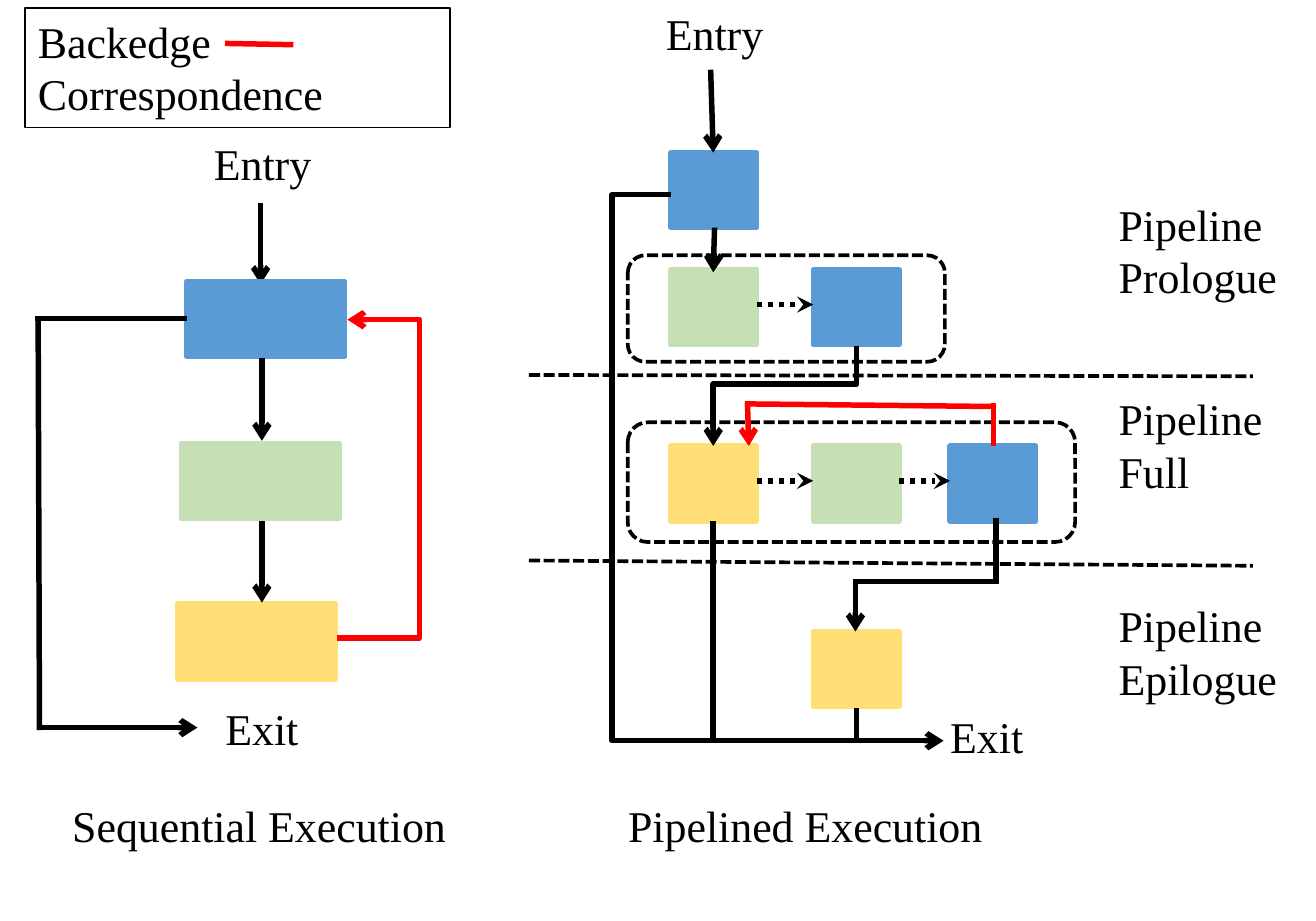
import pptx
import pptx.util
import pptx.dml.color
import pptx.enum.dml
import pptx.enum.shapes
import pptx.enum.text
import pptx.oxml
import pptx.oxml.ns
from dataclasses import dataclass

SHAPE = pptx.enum.shapes.MSO_SHAPE
LINK = pptx.enum.shapes.MSO_CONNECTOR
DASH = pptx.enum.dml.MSO_LINE
ALIGN = pptx.enum.text.PP_ALIGN
ANCHOR = pptx.enum.text.MSO_ANCHOR


@dataclass(frozen=True)
class Theme:
    blue: str = "5B9BD5"
    green: str = "C5E0B4"
    yellow: str = "FFDE75"
    black: str = "000000"
    red: str = "FF0000"
    font: str = "Times New Roman"
    size: int = 24
    heavy: float = 3
    medium: float = 2
    thin: float = 0.75


T = Theme()
COLS, ROWS = 100, 70  # grid over the slide, one cell is 0.1 inch
BOX_H = 5.7
PIPE_W, SEQ_W = 6.5, 12
PIPE_X = (51, 61.8, 72.2)
PIPE_Y = (11.6, 20.5, 33.9, 48)


def cell(n):
    return pptx.util.Inches(n / 10)


def rgb(color):
    return pptx.dml.color.RGBColor.from_string(color)


def style_line(line, color, width, dash=None):
    line.color.rgb = rgb(color)
    line.width = pptx.util.Pt(width)
    if dash:
        line.dash_style = dash


def shape(s, x, y, w, h, fill=None, color=T.black, width=T.heavy,
          dash=None, kind=SHAPE.RECTANGLE):
    sp = s.shapes.add_shape(kind, *map(cell, (x, y, w, h)))
    sp.shadow.inherit = False
    if fill:
        sp.fill.solid()
        sp.fill.fore_color.rgb = rgb(fill)
    else:
        sp.fill.background()
    style_line(sp.line, color, width, dash)
    return sp


def block(s, x, y, w, color):
    shape(s, x, y, w, BOX_H, color, color)


def stage(s, x, y, w, h):
    shape(s, x, y, w, h, width=T.medium, dash=DASH.SQUARE_DOT,
          kind=SHAPE.ROUNDED_RECTANGLE)


def write(sp, lines, align=ALIGN.LEFT, anchor=ANCHOR.TOP):
    tf = sp.text_frame
    tf.word_wrap = True
    tf.vertical_anchor = anchor
    tf.text = "\n".join(lines)
    for p in tf.paragraphs:
        p.alignment = align
        p.font.name = T.font
        p.font.size = pptx.util.Pt(T.size)
        p.font.color.rgb = rgb(T.black)
    return tf


def label(s, x, y, w, h, *lines, align=ALIGN.LEFT):
    tf = write(s.shapes.add_textbox(*map(cell, (x, y, w, h))), lines, align)
    tf.margin_left = tf.margin_right = cell(0.5)
    tf.margin_top = tf.margin_bottom = cell(0.2)


def caption(s, x, w, text):
    write(s.shapes.add_textbox(*map(cell, (x, 58.8, w, 6.4))), [text],
          ALIGN.CENTER, ANCHOR.BOTTOM)


def link(s, start, end, color=T.black, width=T.heavy, dash=None, head=None,
         kind=LINK.STRAIGHT):
    cn = s.shapes.add_connector(kind, *map(cell, (*start, *end)))
    style_line(cn.line, color, width, dash)
    props = cn._element.spPr
    if head:
        tail = pptx.oxml.parse_xml(
            f'<a:tailEnd {pptx.oxml.ns.nsdecls("a")} type="{head}"/>')
        props.find(pptx.oxml.ns.qn("a:ln")).append(tail)
    props.append(pptx.oxml.parse_xml(
        f'<a:effectLst {pptx.oxml.ns.nsdecls("a")}/>'))
    return cn


def arrow(s, start, end, color=T.black):
    link(s, start, end, color, head="arrow")


def elbow(s, start, end, bend, color=T.black, down=False):
    """Arrow bent at column bend, or at row bend when it leaves downwards."""
    (x1, y1), (x2, y2) = start, end
    share = (bend - x1) / (x2 - x1)
    if down:  # lay the path out sideways, then turn it a quarter
        share = (bend - y1) / (y2 - y1)
        cx, cy = (x1 + x2) / 2, (y1 + y2) / 2
        dx, dy = (y2 - y1) / 2, (x1 - x2) / 2
        start, end = (cx - dx, cy - dy), (cx + dx, cy + dy)
    cn = link(s, start, end, color, head="arrow", kind=LINK.ELBOW)
    if down:
        cn._element.spPr.find(pptx.oxml.ns.qn("a:xfrm")).set("rot", "5400000")
    guides = cn._element.spPr.find(
        pptx.oxml.ns.qn("a:prstGeom")).get_or_add_avLst()
    guides.append(pptx.oxml.parse_xml(
        f'<a:gd {pptx.oxml.ns.nsdecls("a")} name="adj1" '
        f'fmla="val {round(share * 100000)}"/>'))


def legend(s):
    sp = shape(s, 1.9, 0.6, 32.3, 9.1, width=T.thin)
    write(sp, ["Backedge", "Correspondence"])
    link(s, (17.1, 3.3), (22.3, 3.4), T.red)


def sequential(s):
    label(s, 14.4, 10.2, 11.1, 4.5, "Entry", align=ALIGN.CENTER)
    arrow(s, (19.8, 15.4), (19.8, 21.6))
    for x, y, color in ((14.2, 21.4, T.blue), (13.8, 33.7, T.green),
                        (13.5, 45.9, T.yellow)):
        block(s, x, y, SEQ_W, color)
    for top, bottom in ((27.2, 33.5), (39.6, 45.8)):
        arrow(s, (19.9, top), (19.9, bottom))
    # Way out and back edge
    link(s, (2.7, 24.2), (14.2, 24.2))
    link(s, (2.9, 24.1), (3, 55.5))
    arrow(s, (2.8, 55.3), (15, 55.3))
    elbow(s, (25.6, 48.5), (26.4, 24.3), 31.9, T.red)
    label(s, 14.9, 53.1, 10, 4.5, "Exit", align=ALIGN.CENTER)
    caption(s, 1, 37.4, "Sequential Execution")


def pipelined(s):
    label(s, 47.1, 0.3, 14.4, 4.5, "Entry", align=ALIGN.CENTER)
    # Blocks by column and row
    for col, row, color in ((0, 0, T.blue), (0, 1, T.green), (1, 1, T.blue),
                            (0, 2, T.yellow), (1, 2, T.green), (2, 2, T.blue),
                            (1, 3, T.yellow)):
        block(s, PIPE_X[col], PIPE_Y[row], PIPE_W, color)
    stage(s, 47.7, 19.4, 24.1, 8.1)
    stage(s, 47.7, 32.1, 34, 9.1)
    for col, row in ((0, 1), (0, 2), (1, 2)):
        y = PIPE_Y[row] + 2.65
        link(s, (PIPE_X[col] + PIPE_W, y), (PIPE_X[col + 1], y),
             dash=DASH.ROUND_DOT, head="stealth")
    # Phases and the lines between them
    for y, second in ((14.8, "Prologue"), (29.6, "Full"), (45.3, "Epilogue")):
        label(s, 84.5, y, 15.5, 8.6, "Pipeline", second)
    for left, right in ((28.5, 28.6), (42.6, 43)):
        link(s, (40.2, left), (95.2, right), width=T.medium,
             dash=DASH.SQUARE_DOT)
    # Flow downwards
    arrow(s, (54, 5.3), (54.2, 11.6))
    arrow(s, (54.3, 17.3), (54.2, 20.7))
    elbow(s, (65.1, 26.3), (54.2, 33.9), 29.2, down=True)
    link(s, (75.7, 39.4), (75.7, 44.3))
    link(s, (64.8, 44.2), (75.9, 44.2))
    arrow(s, (65, 44.2), (65, 48))
    # Ways out
    link(s, (54.2, 39.6), (54.2, 56.3))
    link(s, (65.1, 53.8), (65.1, 56.5))
    elbow(s, (51, 14.8), (71.7, 56.3), 46.5)
    # Back edge
    link(s, (75.5, 30.6), (75.5, 33.9), T.red)
    link(s, (56.6, 30.7), (75.7, 30.9), T.red)
    arrow(s, (56.8, 30.6), (56.9, 33.9), T.red)
    label(s, 71.7, 53.7, 10.2, 4.5, "Exit")
    caption(s, 38.4, 45.6, "Pipelined Execution")


def main():
    prs = pptx.Presentation()
    prs.slide_width, prs.slide_height = cell(COLS), cell(ROWS)
    s = prs.slides.add_slide(prs.slide_layouts[6])
    legend(s)
    sequential(s)
    pipelined(s)
    prs.save("out.pptx")


main()
